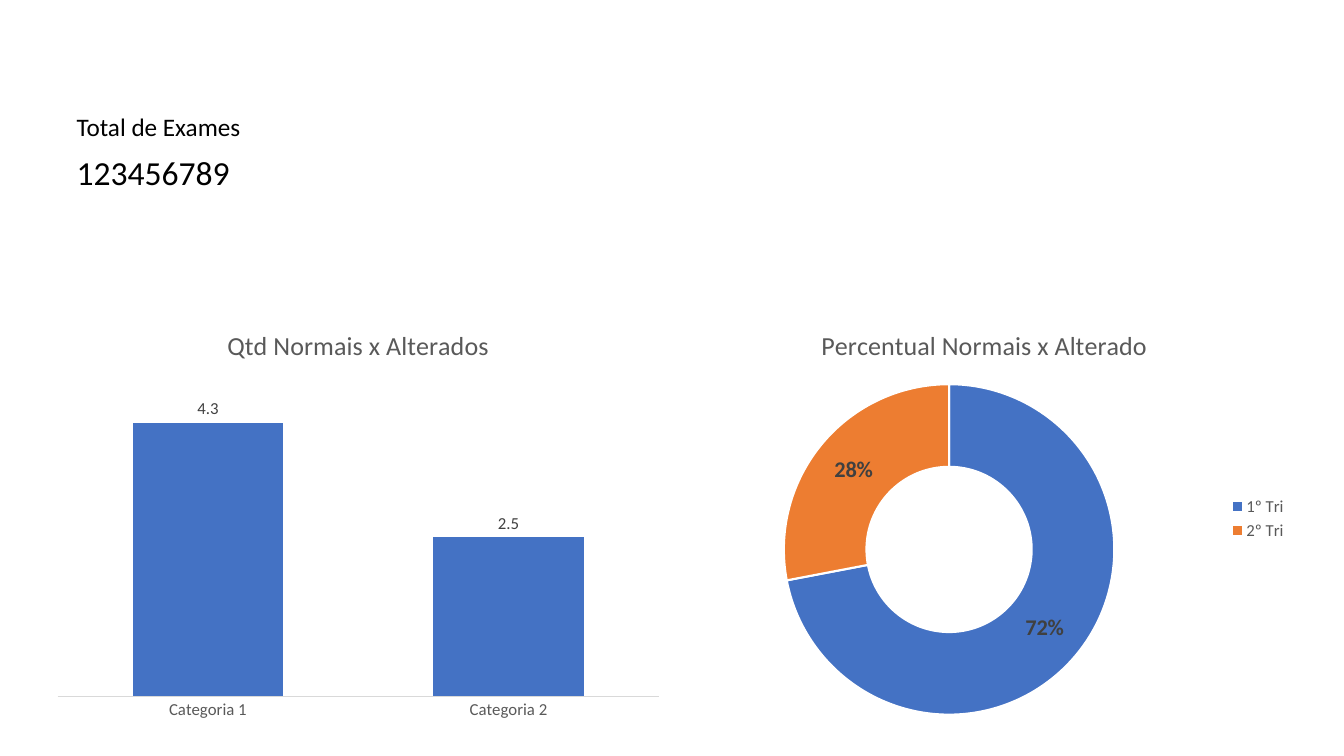
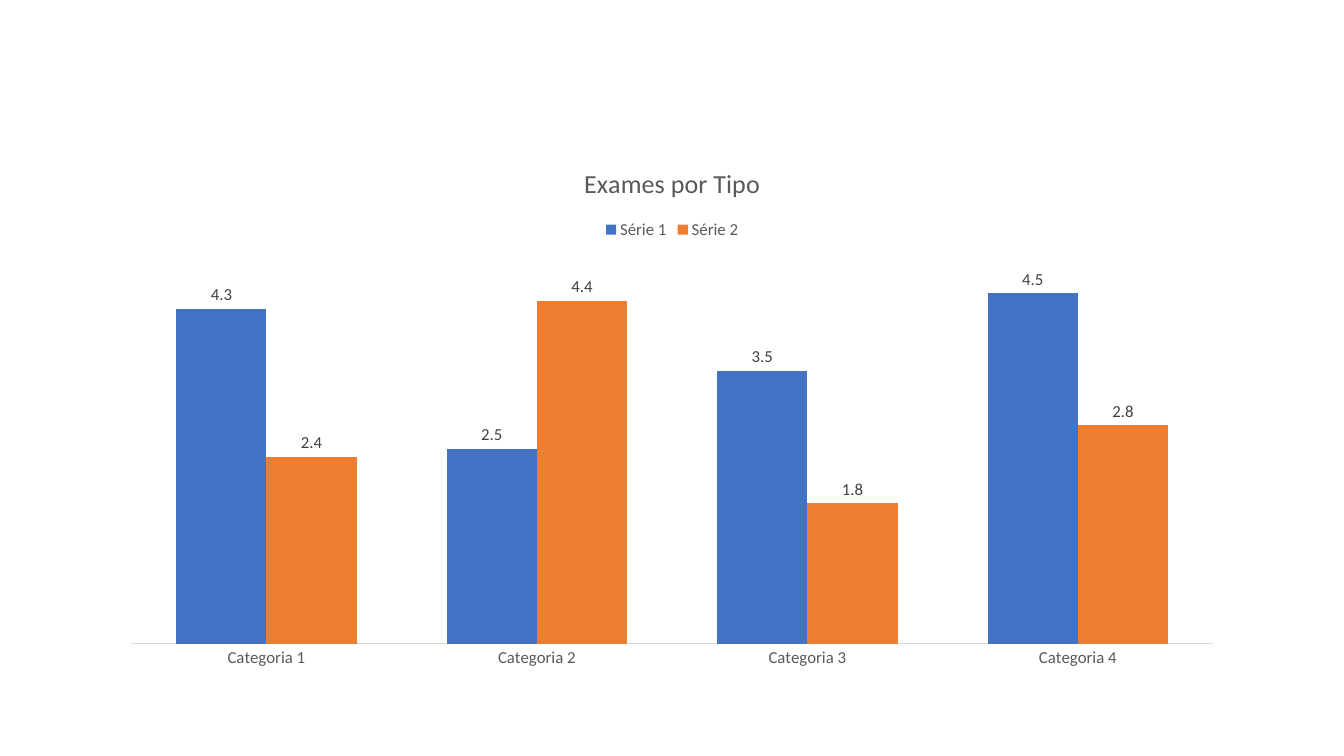
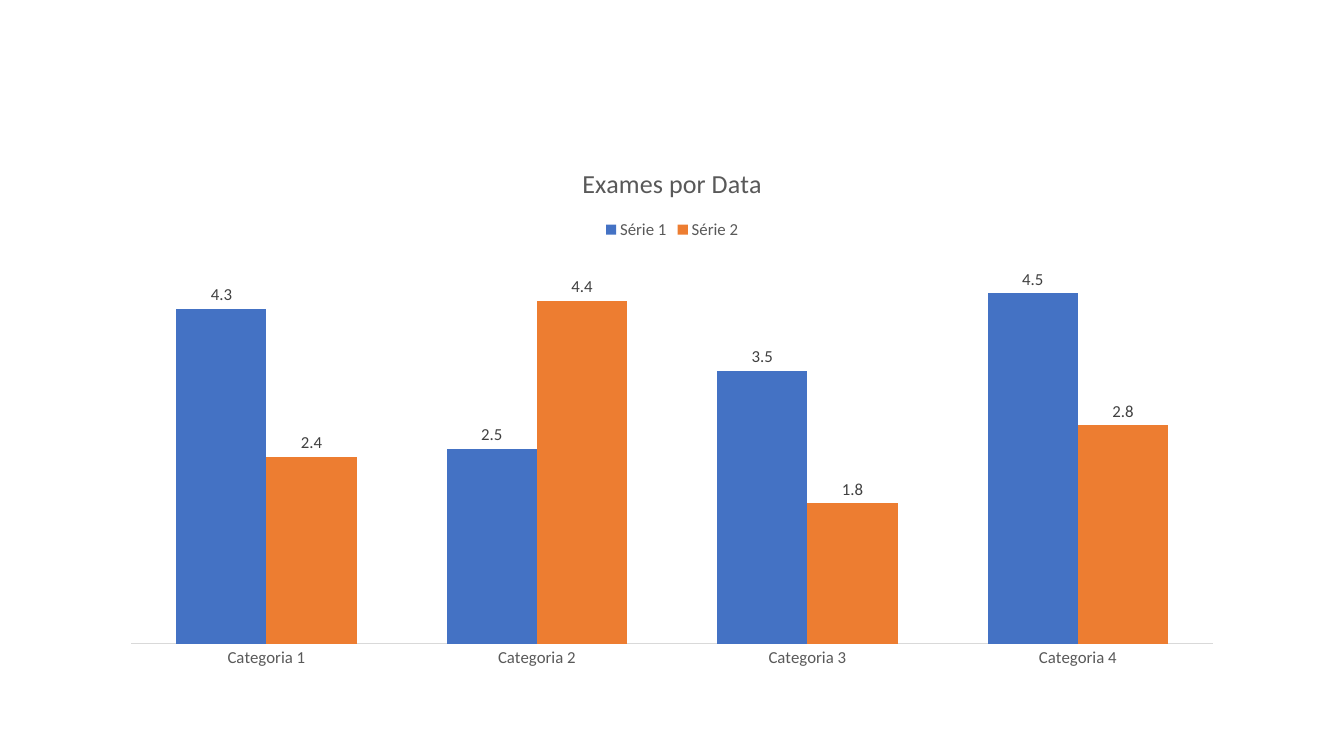
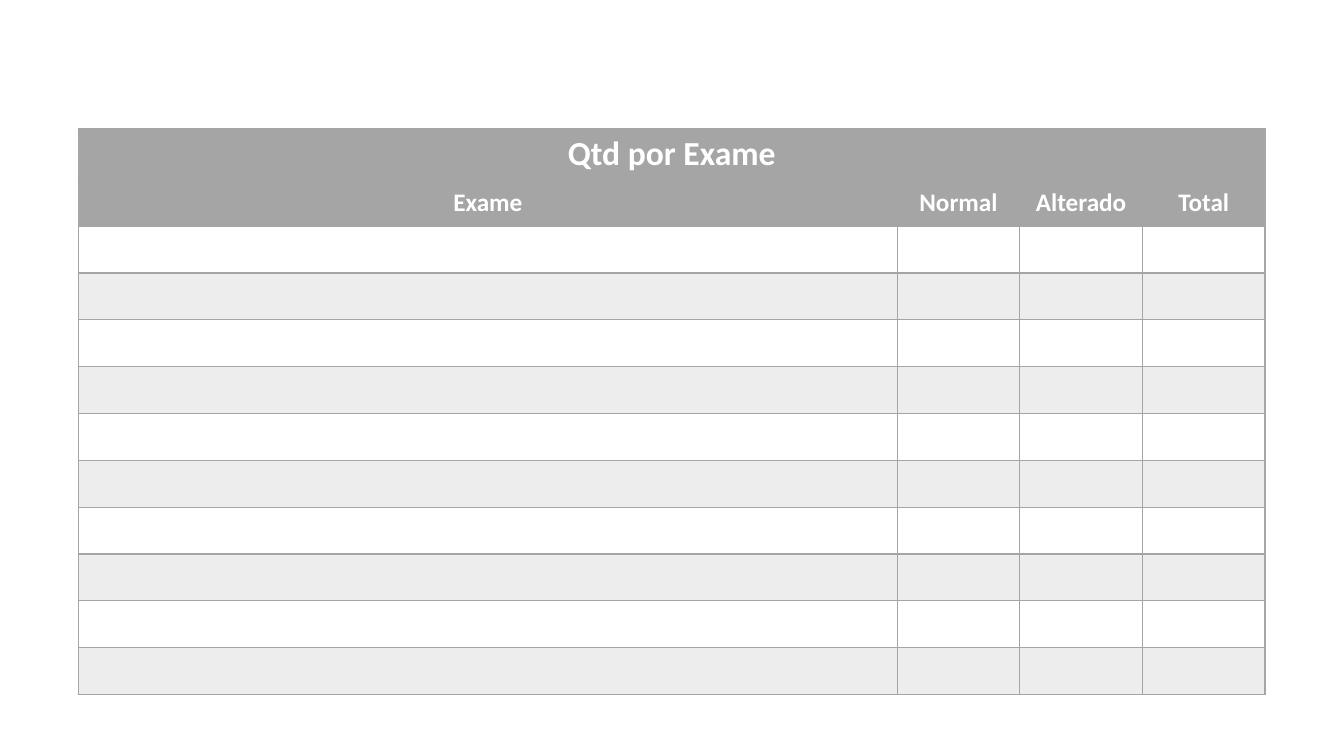
from pptx import Presentation
from pptx import util as u
from pptx.chart.data import CategoryChartData
from pptx.dml.color import RGBColor
from pptx.enum import chart as ch, shapes, text
from pptx.oxml import parse_xml
from pptx.oxml.ns import nsdecls

WHITE = RGBColor(0xFF, 0xFF, 0xFF)
BLACK = RGBColor(0, 0, 0)
BLUE = RGBColor(0x44, 0x72, 0xC4)
ORANGE = RGBColor(0xED, 0x7D, 0x31)
GRAY = RGBColor(0xA5, 0xA5, 0xA5)
BAND = RGBColor(0xED, 0xED, 0xED)
RULE = RGBColor(0xD9, 0xD9, 0xD9)
SOFT = RGBColor(0x59, 0x59, 0x59)
DARK = RGBColor(0x40, 0x40, 0x40)
COLORS = [BLUE, ORANGE]
Kind = ch.XL_CHART_TYPE
Side = ch.XL_LEGEND_POSITION


def style(font, size, color, bold=False):
    look = {"name": "Calibri", "size": u.Pt(size), "bold": bold}
    for key, val in look.items():
        setattr(font, key, val)
    font.color.rgb = color


def plot(slide, kind, title, box, cats, rows, side=None):
    """Add a titled column or doughnut chart; rows maps series names to values."""
    data = CategoryChartData()
    data.categories = cats
    for name, vals in rows.items():
        data.add_series(name, vals)
    chart = slide.shapes.add_chart(kind, *map(u.Cm, box), data).chart
    style(chart.font, 10, BLACK)
    chart.has_title = True
    chart.chart_title.include_in_layout = False
    frame = chart.chart_title.text_frame
    frame.text = title
    style(frame.paragraphs[0].runs[0].font, 18.6, SOFT)

    chart.has_legend = side is not None
    if side is not None:
        chart.legend.position = side
        chart.legend.include_in_layout = False
        style(chart.legend.font, 12, SOFT)

    group = chart.plots[0]
    group.has_data_labels = True
    tags = group.data_labels
    if kind == Kind.DOUGHNUT:
        group.vary_by_categories = True
        for key, val in {"show_percentage": True, "show_value": False,
                         "number_format": "0%",
                         "number_format_is_linked": False}.items():
            setattr(tags, key, val)
        style(tags.font, 16, DARK, True)
        for i, color in enumerate(COLORS):
            part = group.series[0].points[i].format
            part.fill.solid()
            part.fill.fore_color.rgb = color
            part.line.color.rgb = WHITE
            part.line.width = u.Pt(1.5)
        return

    group.vary_by_categories = False
    group.gap_width = 100
    group.overlap = 0
    tags.show_value = True
    tags.position = ch.XL_LABEL_POSITION.OUTSIDE_END
    style(tags.font, 12, DARK)
    for bars, color in zip(group.series, COLORS):
        bars.format.fill.solid()
        bars.format.fill.fore_color.rgb = color
    chart.value_axis.visible = False
    chart.value_axis.has_major_gridlines = False
    axis = chart.category_axis
    axis.major_tick_mark = ch.XL_TICK_MARK.NONE
    axis.format.line.color.rgb = RULE
    axis.format.line.width = u.Pt(0.75)
    style(axis.tick_labels.font, 12, SOFT)


deck = Presentation()
deck.slide_width = u.Cm(33.87)
deck.slide_height = u.Cm(19.05)

# Every slide carries the same translucent white panel
slides = []
for _ in range(4):
    slide = deck.slides.add_slide(deck.slide_layouts[6])
    panel = slide.shapes.add_shape(
        shapes.MSO_SHAPE.RECTANGLE, *map(u.Cm, (1.14, 2.39, 31.57, 15.95)))
    panel.shadow.inherit = False
    panel.fill.solid()
    panel.fill.fore_color.rgb = WHITE
    panel.line.color.rgb = WHITE
    panel.line.width = u.Pt(1)
    tint = panel._element.spPr.xpath("./a:solidFill/a:srgbClr")[0]
    tint.append(parse_xml(f'<a:alpha {nsdecls("a")} val="90000"/>'))
    slides.append(slide)
home, types, dates, exams = slides

# Totals and the split of results
WIDE, HIGH, TOP, LEFT = 15.78, 10.59, 7.77, 1.14
plot(home, Kind.DOUGHNUT, "Percentual Normais x Alterado",
     (LEFT + WIDE, TOP, WIDE, HIGH), ["1º Tri", "2º Tri"],
     {"Series 1": [72, 28]}, Side.RIGHT)
plot(home, Kind.COLUMN_CLUSTERED, "Qtd Normais x Alterados",
     (LEFT, TOP, WIDE, HIGH), ["Categoria 1", "Categoria 2"],
     {"Series 1": [4.3, 2.5]})
for words, top, high, size in [("Total de Exames", 2.69, 1.03, 18),
                               ("123456789", 3.71, 1.28, 24)]:
    frame = home.shapes.add_textbox(
        *map(u.Cm, (1.68, top, 6.53, high))).text_frame
    frame.word_wrap = True
    frame.text = words
    style(frame.paragraphs[0].runs[0].font, size, BLACK)

# Exams by type and by date
for slide, title in [(types, "Exames por Tipo"), (dates, "Exames por Data")]:
    plot(slide, Kind.COLUMN_CLUSTERED, title, (2.74, 3.63, 28.4, 13.46),
         [f"Categoria {n}" for n in range(1, 5)],
         {"Série 1": [4.3, 2.5, 3.5, 4.5], "Série 2": [2.4, 4.4, 1.8, 2.8]},
         Side.TOP)

# Count for each exam
ROWS, STEP = 12, 1.18
HEADS = [["Qtd por Exame"], ["Exame", "Normal", "Alterado", "Total"]]
WIDTHS = [20.63, 3.09, 3.09, 3.09]
table = exams.shapes.add_table(
    ROWS, len(WIDTHS),
    *map(u.Cm, (1.98, 3.25, sum(WIDTHS), ROWS * STEP))).table
table.first_row = table.horz_banding = False
for col, width in zip(table.columns, WIDTHS):
    col.width = u.Cm(width)
for r, row in enumerate(table.rows):
    row.height = u.Cm(STEP)
    for cell in row.cells:
        for side in "LRTB":
            cell._tc.get_or_add_tcPr().append(parse_xml(
                f'<a:ln{side} {nsdecls("a")} w="12700"><a:solidFill>'
                f'<a:srgbClr val="{GRAY}"/></a:solidFill></a:ln{side}>'))
        cell.fill.solid()
        cell.fill.fore_color.rgb = (
            GRAY if r < len(HEADS) else BAND if r % 2 else WHITE)
table.cell(0, 0).merge(table.cell(0, len(WIDTHS) - 1))
for r, (heads, size) in enumerate(zip(HEADS, (24, 18))):
    for c, head in enumerate(heads):
        cell = table.cell(r, c)
        cell.text = head
        cell.vertical_anchor = text.MSO_ANCHOR.MIDDLE
        para = cell.text_frame.paragraphs[0]
        para.alignment = text.PP_ALIGN.CENTER
        style(para.runs[0].font, size, WHITE, True)

deck.save("out.pptx")
